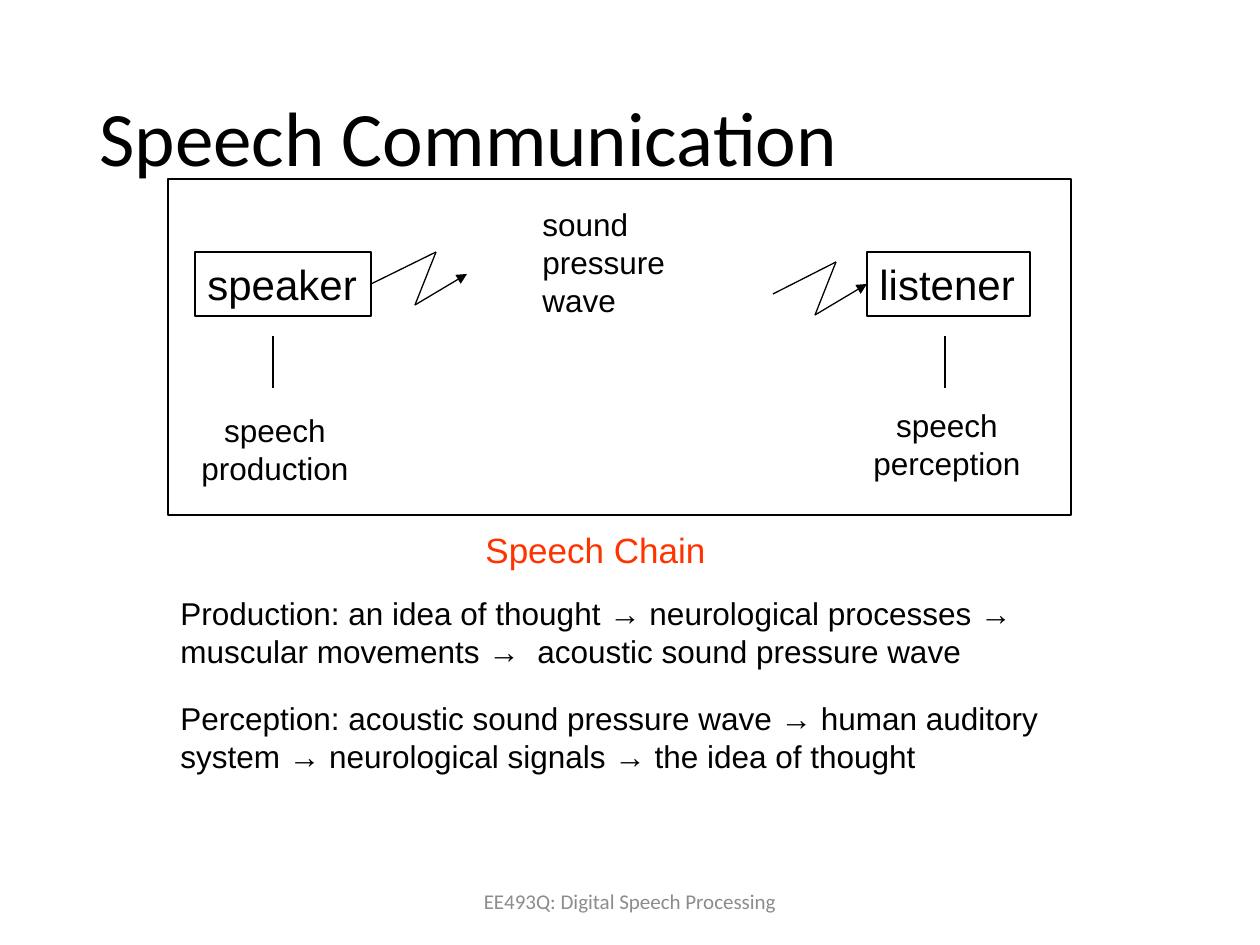
from dataclasses import dataclass
from itertools import pairwise

from lxml import etree
from pptx import Presentation
from pptx import util as u
from pptx.dml.color import RGBColor
from pptx.enum import shapes, text
from pptx.oxml.ns import qn

PX = u.Inches(1) / 126
BLACK = "000000"
ZIGZAG = [(0, 0), (63, -32), (42, 21), (94, -10)]
LEFT_SIDE, RIGHT_SIDE = 1, 3


@dataclass(frozen=True)
class Label:
    x: int
    y: int
    w: int
    h: int
    lines: tuple[str, ...]
    size: int = 18
    color: str = BLACK
    font: str = "Arial"
    centered: bool = False
    middle: bool = False
    wrap: bool = False
    spacing: float | None = None


@dataclass(frozen=True)
class Party:
    box: Label
    stem_x: int
    role: Label


TITLE = Label(87, 50, 1086, 183, ("Speech Communication",), size=44,
              font="Calibri", middle=True, wrap=True, spacing=0.9)
FOOTER = Label(417, 876, 426, 50, ("EE493Q: Digital Speech Processing",), size=12,
               color="8C8C8C", font="Calibri", centered=True, middle=True, wrap=True)
SPEAKER = Party(Label(195, 252, 176, 64, ("speaker",), size=24), 273,
                Label(189, 405, 172, 88, ("speech", "production"), centered=True))
LISTENER = Party(Label(867, 252, 163, 64, ("listener",), size=24), 945,
                 Label(861, 400, 172, 88, ("speech", "perception"), centered=True))
TEXTS = [
    Label(530, 199, 156, 126, ("sound", "pressure", "wave")),
    Label(473, 522, 246, 54, ("Speech Chain",), size=20, color="FF3300"),
    Label(168, 588, 864, 88, (
        "Production: an idea of thought → neurological processes →",
        "muscular movements →  acoustic sound pressure wave")),
    Label(168, 693, 903, 89, (
        "Perception: acoustic sound pressure wave → human auditory system "
        "→ neurological signals → the idea of thought",), wrap=True),
]


def px(*values: int) -> list[u.Emu]:
    return [u.Emu(round(v * PX)) for v in values]


def rgb(color: str) -> RGBColor:
    return RGBColor.from_string(color)


def write(sp, label: Label) -> None:
    tf = sp.text_frame
    tf.text = "\n".join(label.lines)
    tf.word_wrap = label.wrap
    tf.vertical_anchor = text.MSO_ANCHOR.MIDDLE if label.middle else text.MSO_ANCHOR.TOP
    if not label.middle:
        tf.auto_size = text.MSO_AUTO_SIZE.SHAPE_TO_FIT_TEXT
    for p in tf.paragraphs:
        p.alignment = text.PP_ALIGN.CENTER if label.centered else text.PP_ALIGN.LEFT
        p.line_spacing = label.spacing
        for r in p.runs:
            r.font.name = label.font
            r.font.size = u.Pt(label.size)
            r.font.color.rgb = rgb(label.color)


def add_label(slide, label: Label) -> None:
    write(slide.shapes.add_textbox(*px(label.x, label.y, label.w, label.h)), label)


def add_outline(slide, x: int, y: int, w: int, h: int):
    sp = slide.shapes.add_shape(shapes.MSO_SHAPE.RECTANGLE, *px(x, y, w, h))
    sp.shadow.inherit = False
    sp.fill.background()
    sp.line.color.rgb = rgb(BLACK)
    sp.line.width = u.Pt(0.75)
    return sp


def add_line(slide, start: tuple[int, int], end: tuple[int, int]):
    line = slide.shapes.add_connector(shapes.MSO_CONNECTOR.STRAIGHT, *px(*start, *end))
    line.line.color.rgb = rgb(BLACK)
    line.line.width = u.Pt(0.75)
    etree.SubElement(line.element.spPr, qn("a:effectLst"))
    return line


def add_zigzag(slide, x: int, y: int) -> list:
    """Draw a wave arrow from (x, y) and return its segments."""
    points = [(x + dx, y + dy) for dx, dy in ZIGZAG]
    segments = [add_line(slide, a, b) for a, b in pairwise(points)]
    ln = segments[-1].line._get_or_add_ln()
    etree.SubElement(ln, qn("a:tailEnd"), type="triangle")
    return segments


def add_party(slide, party: Party):
    """Draw a boxed name with a stem and its role below; return the box."""
    box = party.box
    sp = add_outline(slide, box.x, box.y, box.w, box.h)
    write(sp, box)
    add_line(slide, (party.stem_x, 336), (party.stem_x, 388))
    add_label(slide, party.role)
    return sp


def main() -> None:
    prs = Presentation()
    prs.slide_width, prs.slide_height = u.Inches(10), u.Inches(7.5)
    slide = prs.slides.add_slide(prs.slide_layouts[6])

    add_label(slide, FOOTER)
    add_label(slide, TITLE)
    add_outline(slide, 168, 179, 903, 336)
    speaker = add_party(slide, SPEAKER)
    listener = add_party(slide, LISTENER)
    add_zigzag(slide, 373, 284)[0].begin_connect(speaker, RIGHT_SIDE)
    add_zigzag(slide, 773, 294)[-1].end_connect(listener, LEFT_SIDE)
    for label in TEXTS:
        add_label(slide, label)

    prs.save("out.pptx")


if __name__ == "__main__":
    main()
